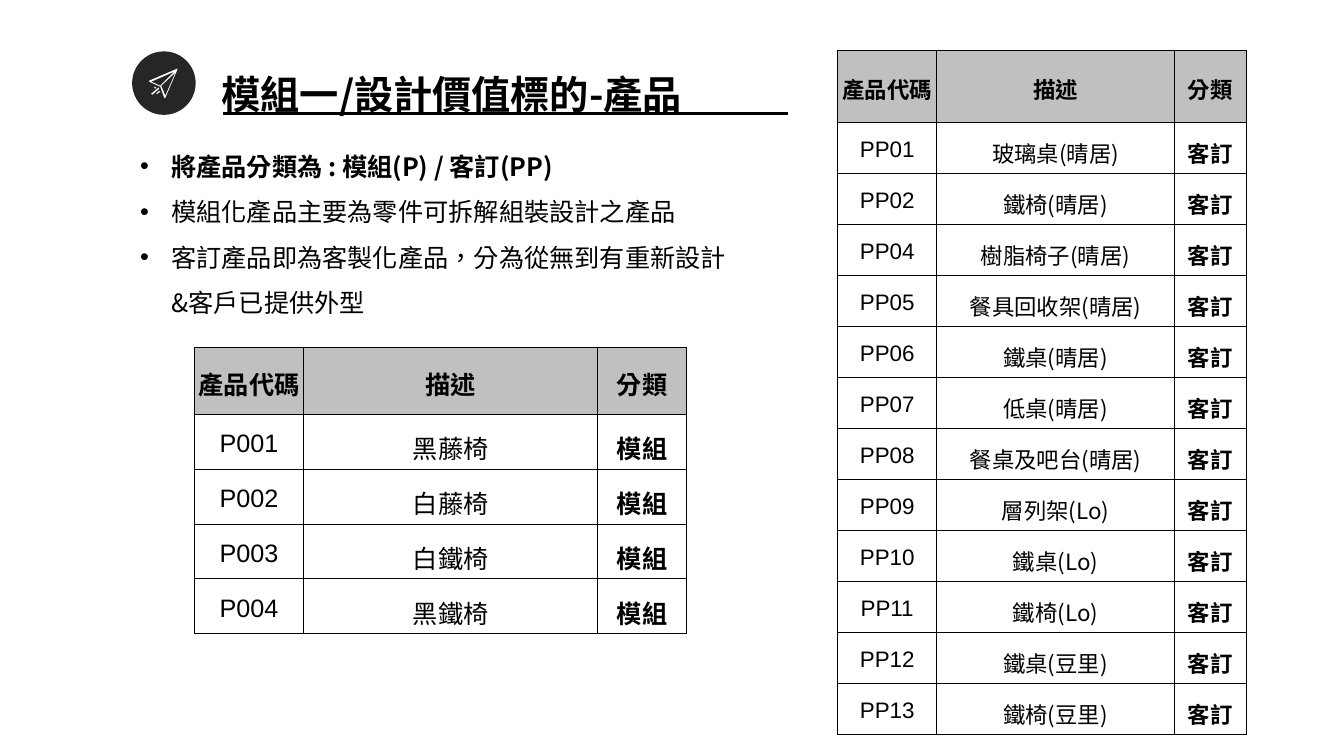
import pptx
import pptx.dml.color
import pptx.enum.shapes
import pptx.enum.text
import pptx.oxml
import pptx.oxml.ns
import pptx.util
from lxml import etree

WIDE = pptx.util.Inches(13.33)
HIGH = pptx.util.Inches(7.5)
SANS = "Noto Sans CJK TC"
INK = "000000"
GRAY = "C0C0C0"

POINTS = [
    "將產品分類為 : 模組(P) / 客訂(PP)",
    "模組化產品主要為零件可拆解組裝設計之產品",
    "客訂產品即為客製化產品，分為從無到有重新設計&客戶已提供外型",
]
HEADS = ("產品代碼", "描述", "分類")
PARTS = [("P001", "黑藤椅"), ("P002", "白藤椅"), ("P003", "白鐵椅"), ("P004", "黑鐵椅")]
CUSTOM = [
    ("PP01", "玻璃桌(晴居)"), ("PP02", "鐵椅(晴居)"), ("PP04", "樹脂椅子(晴居)"),
    ("PP05", "餐具回收架(晴居)"), ("PP06", "鐵桌(晴居)"), ("PP07", "低桌(晴居)"),
    ("PP08", "餐桌及吧台(晴居)"), ("PP09", "層列架(Lo)"), ("PP10", "鐵桌(Lo)"),
    ("PP11", "鐵椅(Lo)"), ("PP12", "鐵桌(豆里)"), ("PP13", "鐵椅(豆里)"),
]
PLANE = [
    [(28, 0), (0, 12), (0, 13), (11, 18), (15, 29), (16, 29), (28, 1)],
    [(16, 27), (12, 17), (26, 4)],
    [(2, 13), (25, 3), (11, 17)],
    [(10, 22), (7, 25), (8, 25), (11, 23)],
    [(9, 19), (2, 25), (3, 26), (10, 20)],
    [(6, 18), (5, 19), (6, 20), (7, 19)],
]


def across(share):
    return round(WIDE * share / 100)


def down(share):
    return round(HIGH * share / 100)


def area(left, top, width, height):
    return across(left), down(top), across(width), down(height)


def color(code):
    return pptx.dml.color.RGBColor.from_string(code)


def tag(name):
    return pptx.oxml.ns.qn("a:" + name)


def style(line, size, bold, face=SANS):
    font = line.font
    font.size = pptx.util.Pt(size)
    font.bold = bold
    font.name = face
    font.color.rgb = color(INK)
    props = line._p.pPr.find(tag("defRPr"))
    props.set("lang", "zh-TW")
    etree.SubElement(props, tag("ea"), typeface=face)


def bullet(line):
    props = line._p.get_or_add_pPr()
    props.set("marL", str(across(2.33)))
    props.set("indent", str(-across(2.33)))
    tint = etree.SubElement(props, tag("buClr"))
    etree.SubElement(tint, tag("srgbClr"), val=INK)
    etree.SubElement(props, tag("buFont"), typeface="Arial")
    etree.SubElement(props, tag("buChar"), char="•")


def write(slide, place, lines, size, space, anchor, listed=False):
    frame = slide.shapes.add_textbox(*place).text_frame
    frame.word_wrap = True
    frame.auto_size = pptx.enum.text.MSO_AUTO_SIZE.SHAPE_TO_FIT_TEXT
    frame.vertical_anchor = anchor
    for rank, text in enumerate(lines):
        line = frame.add_paragraph() if rank else frame.paragraphs[0]
        line.text = text
        line.line_spacing = space
        if listed:
            bullet(line)
        style(line, size, rank == 0)


def paint(shape, code):
    shape.shadow.inherit = False
    shape.fill.solid()
    shape.fill.fore_color.rgb = color(code)
    shape.line.fill.background()


def badge(slide):
    oval = pptx.enum.shapes.MSO_SHAPE.OVAL
    disc = slide.shapes.add_shape(oval, *area(9.83, 6.8, 4.73, 8.4))
    paint(disc, "262626")
    first, *rest = PLANE
    pen = slide.shapes.build_freeform(*first[0], scale=WIDE / 1333)
    pen.add_line_segments(first[1:])
    for loop in rest:
        pen.move_to(*loop[0])
        pen.add_line_segments(loop[1:])
    paint(pen.convert_to_shape(across(11.1), down(9.07)), "FFFFFF")


def rule(slide, left, right, top):
    kind = pptx.enum.shapes.MSO_CONNECTOR.STRAIGHT
    ends = across(left), down(top), across(right), down(top)
    line = slide.shapes.add_connector(kind, *ends)
    line.line.color.rgb = color("010101")
    line.line.width = pptx.util.Pt(2.25)
    etree.SubElement(line._element.spPr, tag("effectLst"))


def border(cell):
    props = cell._tc.get_or_add_tcPr()
    for side in ("lnL", "lnR", "lnT", "lnB"):
        edge = etree.SubElement(props, tag(side), w=str(pptx.util.Pt(0.75)))
        fill = etree.SubElement(edge, tag("solidFill"))
        etree.SubElement(fill, tag("srgbClr"), val=INK)


def fill(cell, text, size, bold, face, head):
    border(cell)
    if head:
        cell.fill.solid()
        cell.fill.fore_color.rgb = color(GRAY)
    else:
        cell.fill.background()
    cell.margin_left = cell.margin_right = across(0.23)
    cell.margin_top = cell.margin_bottom = down(1.33)
    cell.vertical_anchor = pptx.enum.text.MSO_ANCHOR.MIDDLE
    line = cell.text_frame.paragraphs[0]
    line.text = text
    line.alignment = pptx.enum.text.PP_ALIGN.CENTER
    line.line_spacing = 1.15
    style(line, size, bold, face)


def grid(slide, left, top, cols, first, step, items, group, size):
    rows = [HEADS] + [item + (group,) for item in items]
    place = area(left, top, sum(cols), first + step * len(items))
    table = slide.shapes.add_table(len(rows), len(cols), *place).table
    table.first_row = table.horz_banding = False
    for col, width in zip(table.columns, cols):
        col.width = across(width)
    for y, row in enumerate(rows):
        head = y == 0
        table.rows[y].height = down(first if head else step)
        for x, text in enumerate(row):
            face = "Arial" if x == 0 and not head else SANS
            fill(table.cell(y, x), text, size, head or x == 2, face, head)


def main():
    deck = pptx.Presentation()
    deck.slide_width, deck.slide_height = WIDE, HIGH
    slide = deck.slides.add_slide(deck.slide_layouts[6])
    anchor = pptx.enum.text.MSO_ANCHOR
    write(slide, area(15.75, 6.13, 45.3, 8.8), ["模組一/設計價值標的-產品"],
          28, 1.61, anchor.MIDDLE)
    badge(slide)
    write(slide, area(9.68, 17.33, 46.13, 25.6), POINTS, 18, 1.5, anchor.TOP, True)
    rule(slide, 16.58, 58.65, 15.07)
    grid(slide, 14.48, 46, (8.1, 21.9, 6.6), 8.8, 5.73, PARTS, "模組", 18)
    grid(slide, 62.34, 6.67, (7.35, 17.7, 5.33), 9.47, 6.27, CUSTOM, "客訂", 16)
    deck.save("out.pptx")


if __name__ == "__main__":
    main()
